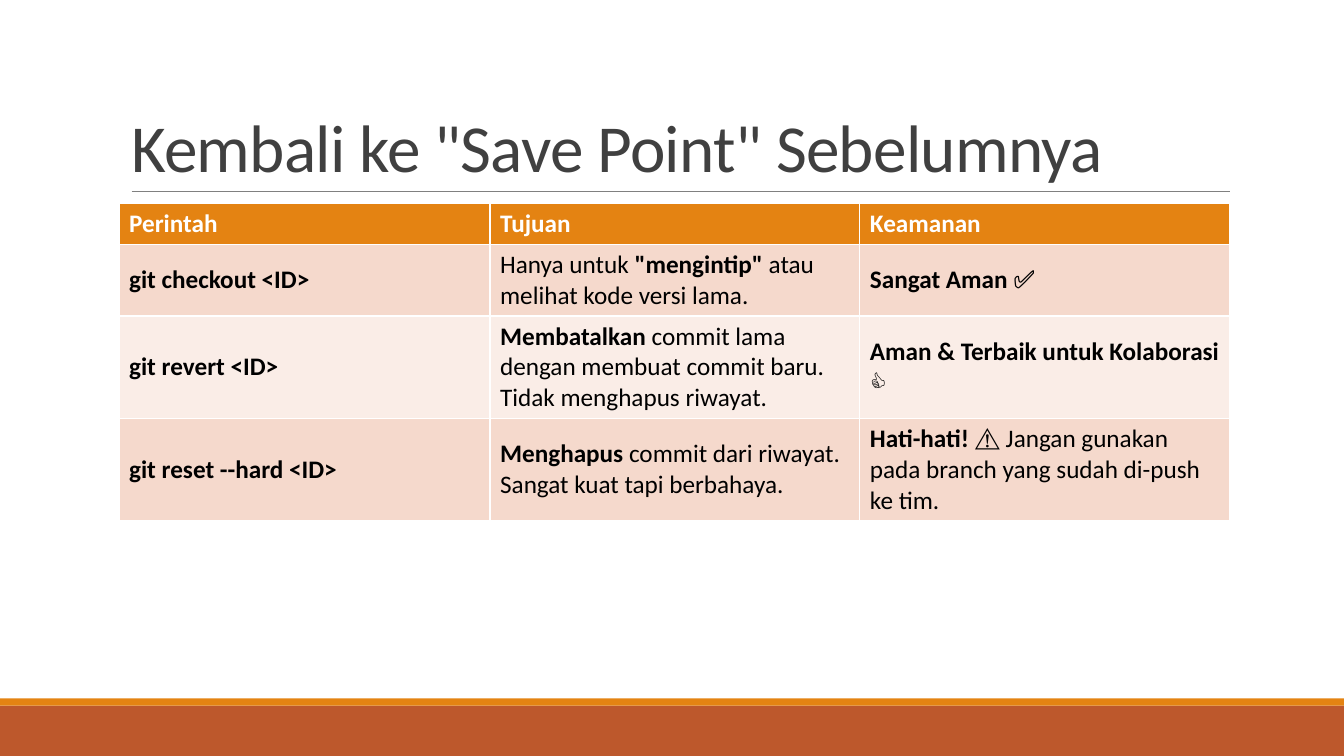
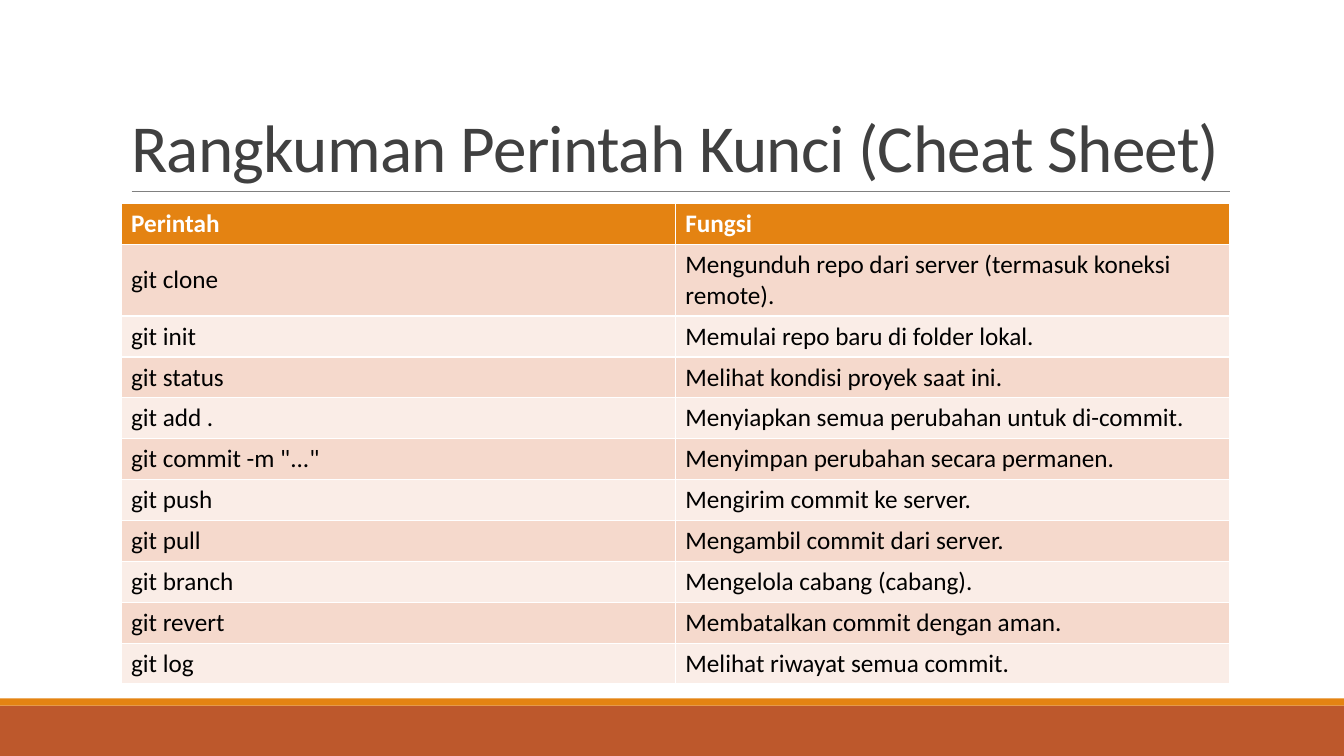
from lxml import etree
from pptx import Presentation
from pptx.dml.color import RGBColor
from pptx.enum.shapes import MSO_CONNECTOR, MSO_SHAPE
from pptx.enum.text import MSO_ANCHOR, MSO_AUTO_SIZE, PP_ALIGN
from pptx.oxml.ns import qn
from pptx.util import Cm, Pt

STRAIGHT = MSO_CONNECTOR.STRAIGHT
RECTANGLE = MSO_SHAPE.RECTANGLE
TOP, MIDDLE, BOTTOM = MSO_ANCHOR.TOP, MSO_ANCHOR.MIDDLE, MSO_ANCHOR.BOTTOM
NO_FIT = MSO_AUTO_SIZE.NONE
LEFT = PP_ALIGN.LEFT

FONT = "Calibri"
COLORS = {
    "title": "404040",
    "rule": "808080",
    "orange": "E48312",
    "rust": "BD582C",
    "odd_row": "F5D9CC",
    "even_row": "FAEDE7",
    "white": "FFFFFF",
    "black": "000000",
}
SLIDE_WIDTH = 33.87
BANDS = [(17.78, 1.27, "rust"), (17.6, 0.18, "orange")]
TABLE_TOP = 5.13
LINE_HEIGHT = 0.77
CELL_PADDING = 0.26

PAGES = [
    {
        "title": 'Kembali ke "Save Point" Sebelumnya',
        "left": 3.0,
        "widths": [9.35, 9.32, 9.32],
        "lines": [1, 2, 3, 3],
        "rows": [
            ["**Perintah**", "**Tujuan**", "**Keamanan**"],
            [
                "**git checkout <ID>**",
                'Hanya untuk **"mengintip"** atau melihat kode versi lama.',
                "**Sangat Aman** ✅",
            ],
            [
                "**git revert <ID>**",
                "**Membatalkan** commit lama dengan membuat commit baru. Tidak menghapus riwayat.",
                "**Aman & Terbaik untuk Kolaborasi** 👍",
            ],
            [
                "**git reset --hard <ID>**",
                "**Menghapus** commit dari riwayat. Sangat kuat tapi berbahaya.",
                "**Hati-hati!** ⚠️ Jangan gunakan pada branch yang sudah di-push ke tim.",
            ],
        ],
    },
    {
        "title": "Rangkuman Perintah Kunci (Cheat Sheet)",
        "left": 3.05,
        "widths": [13.97, 13.97],
        "lines": [1, 2] + [1] * 9,
        "rows": [
            ["**Perintah**", "**Fungsi**"],
            ["git clone", "Mengunduh repo dari server (termasuk koneksi remote)."],
            ["git init", "Memulai repo baru di folder lokal."],
            ["git status", "Melihat kondisi proyek saat ini."],
            ["git add .", "Menyiapkan semua perubahan untuk di-commit."],
            ['git commit -m "..."', "Menyimpan perubahan secara permanen."],
            ["git push", "Mengirim commit ke server."],
            ["git pull", "Mengambil commit dari server."],
            ["git branch", "Mengelola cabang (cabang)."],
            ["git revert", "Membatalkan commit dengan aman."],
            ["git log", "Melihat riwayat semua commit."],
        ],
    },
]


def color(name):
    return RGBColor.from_string(COLORS[name])


def style_font(font, size, color_name):
    font.name = FONT
    font.size = Pt(size)
    font.color.rgb = color(color_name)


deck = Presentation()
deck.slide_width = Cm(SLIDE_WIDTH)
deck.slide_height = Cm(19.05)
title_only = deck.slide_layouts[5]

for content in PAGES:
    page = deck.slides.add_slide(title_only)

    for top, height, fill in BANDS:
        band = page.shapes.add_shape(RECTANGLE, 0, Cm(top), Cm(SLIDE_WIDTH), Cm(height))
        band.shadow.inherit = False
        band.fill.solid()
        band.fill.fore_color.rgb = color(fill)
        band.line.fill.background()

    rule = page.shapes.add_connector(STRAIGHT, Cm(3.32), Cm(4.82), Cm(31.0), Cm(4.82))
    rule.line.color.rgb = color("rule")
    rule.line.width = Pt(0.5)
    etree.SubElement(rule.element.spPr, qn("a:effectLst"))

    title = page.shapes.title
    title.left, title.top = Cm(3.05), Cm(0.79)
    title.width, title.height = Cm(27.94), Cm(4.04)
    frame = title.text_frame
    frame.text = content["title"]
    frame.word_wrap = True
    frame.auto_size = NO_FIT
    frame.vertical_anchor = BOTTOM
    para = frame.paragraphs[0]
    para.alignment = LEFT
    para.line_spacing = 0.85
    style_font(para.font, 48, "title")
    para.runs[0].font._element.set("spc", "-50")

    rows, widths = content["rows"], content["widths"]
    heights = [count * LINE_HEIGHT + CELL_PADDING for count in content["lines"]]
    table = page.shapes.add_table(
        len(rows), len(widths), Cm(content["left"]), Cm(TABLE_TOP),
        Cm(sum(widths)), Cm(sum(heights)),
    ).table
    for column, width in zip(table.columns, widths):
        column.width = Cm(width)

    for row_index, texts in enumerate(rows):
        table.rows[row_index].height = Cm(heights[row_index])
        is_header = row_index == 0
        fill = "orange" if is_header else ("even_row", "odd_row")[row_index % 2]
        for column_index, text in enumerate(texts):
            cell = table.cell(row_index, column_index)
            cell.fill.solid()
            cell.fill.fore_color.rgb = color(fill)
            cell.vertical_anchor = TOP if is_header else MIDDLE
            para = cell.text_frame.paragraphs[0]
            style_font(para.font, 18, "white" if is_header else "black")
            for part_index, part in enumerate(text.split("**")):
                if part:
                    span = para.add_run()
                    span.text = part
                    span.font.bold = part_index % 2 == 1

deck.save("out.pptx")
